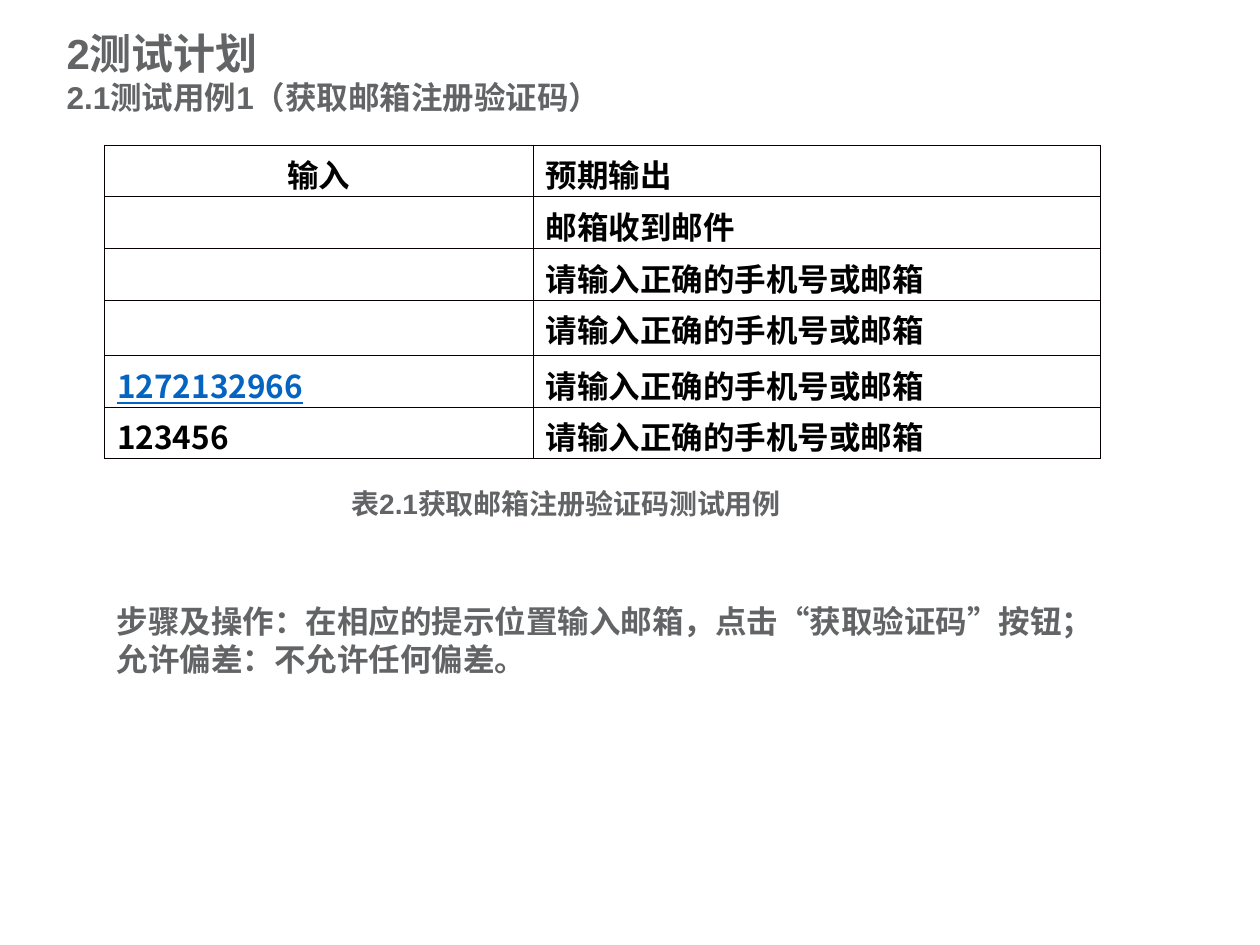
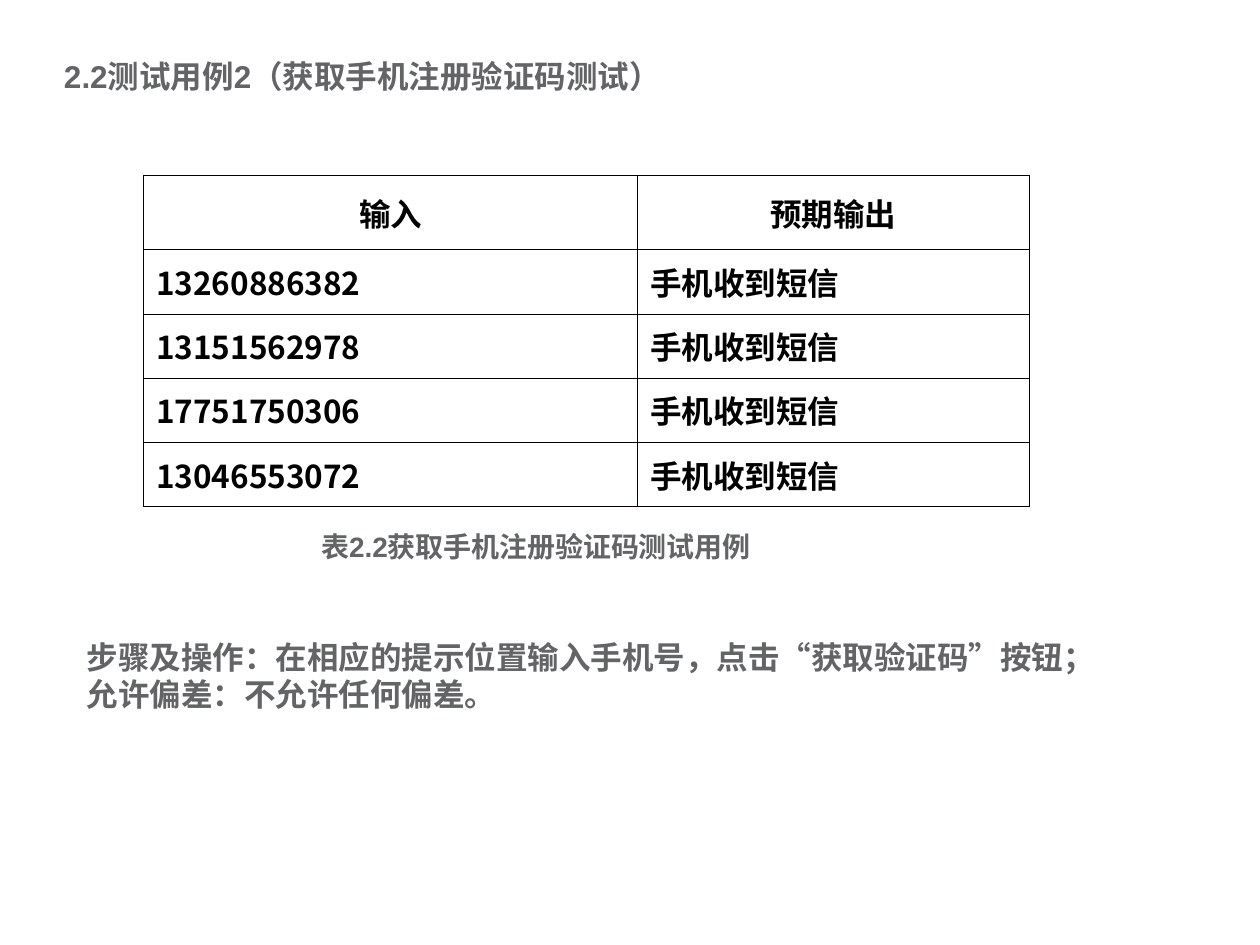
from lxml.etree import SubElement
from pptx import Presentation
from pptx.dml.color import RGBColor
from pptx.enum.text import MSO_ANCHOR, PP_ALIGN
from pptx.oxml.ns import qn
from pptx.util import Inches, Pt

COLORS = {"text": "626466", "cell": "000000", "link": "0563C1", "border": "080000"}
LATIN, CJK = "Arial", "Noto Sans CJK SC"
LINE_HEIGHT = 1.2
BODY_SIZE, CAPTION_SIZE = 18, 16
CELL_INSET, TIGHT_ROW = 0.05, 0.41
BORDER_WIDTH = 0.23

WRONG_INPUT = "请输入正确的手机号或邮箱"
SMS_RECEIVED = "手机收到短信"
TOLERANCE = "允许偏差：不允许任何偏差。"
LINKS = {"1272132966"}

CASES = [
    {
        "title": [("2测试计划", 24), ("2.1测试用例1（获取邮箱注册验证码）", BODY_SIZE)],
        "title_at": (0.43, 0.13, 5.51, 0.8),
        "rows": [
            ("输入", "预期输出"),
            ("", "邮箱收到邮件"),
            ("", WRONG_INPUT),
            ("", WRONG_INPUT),
            ("1272132966", WRONG_INPUT),
            ("123456", WRONG_INPUT),
        ],
        "table_at": (0.83, 1.15),
        "widths": [3.4, 4.5],
        "heights": [0.41, 0.41, 0.41, 0.44, 0.41, 0.41],
        "centred_headers": {0},
        "caption": "表2.1获取邮箱注册验证码测试用例",
        "caption_at": (2.69, 3.77, 4.14, 0.37),
        "steps": "步骤及操作：在相应的提示位置输入邮箱，点击“获取验证码”按钮；",
        "steps_at": (0.83, 4.69, 8.4, 0.7),
    },
    {
        "title": [("2.2测试用例2（获取手机注册验证码测试）", BODY_SIZE)],
        "title_at": (0.41, 0.36, 7.54, 0.4),
        "rows": [
            ("输入", "预期输出"),
            ("13260886382", SMS_RECEIVED),
            ("13151562978", SMS_RECEIVED),
            ("17751750306", SMS_RECEIVED),
            ("13046553072", SMS_RECEIVED),
        ],
        "table_at": (1.14, 1.39),
        "widths": [3.92, 3.11],
        "heights": [0.59] + [0.51] * 4,
        "centred_headers": {0, 1},
        "caption": "表2.2获取手机注册验证码测试用例",
        "caption_at": (2.45, 4.11, 4.12, 0.37),
        "steps": "步骤及操作：在相应的提示位置输入手机号，点击“获取验证码”按钮；",
        "steps_at": (0.59, 4.97, 8.57, 0.7),
    },
]


def add_span(para, text, size, color, latin):
    span = para.add_run()
    span.text = text
    span.font.size = Pt(size)
    span.font.bold = True
    span.font.name = latin
    span.font.color.rgb = RGBColor.from_string(COLORS[color])
    SubElement(span.font._element, qn("a:ea"), typeface=CJK)
    return span


def add_text(page, place, lines):
    box = page.shapes.add_textbox(*map(Inches, place))
    frame = box.text_frame
    frame.word_wrap = True
    frame.margin_top, frame.margin_bottom = Inches(0.09), Inches(0.01)
    for index, (text, size) in enumerate(lines):
        para = frame.add_paragraph() if index else frame.paragraphs[0]
        para.line_spacing = Pt(size * LINE_HEIGHT)
        add_span(para, text, size, "text", LATIN)


def add_borders(cell):
    properties = cell._tc.get_or_add_tcPr()
    for index, side in enumerate(("lnL", "lnR", "lnT", "lnB")):
        line = properties.makeelement(qn(f"a:{side}"), {"w": str(Pt(BORDER_WIDTH))})
        fill = SubElement(line, qn("a:solidFill"))
        SubElement(fill, qn("a:srgbClr"), val=COLORS["border"])
        properties.insert(index, line)


def add_case_table(page, case):
    rows, widths, heights = case["rows"], case["widths"], case["heights"]
    size = (sum(widths), sum(heights))
    table = page.shapes.add_table(
        len(rows), len(widths), *map(Inches, case["table_at"] + size)
    ).table
    table.first_row = table.horz_banding = False
    for column, width in zip(table.columns, widths):
        column.width = Inches(width)
    for row_index, (texts, height) in enumerate(zip(rows, heights)):
        table.rows[row_index].height = Inches(height)
        bottom = round(min(CELL_INSET, max(0, height - TIGHT_ROW)), 2)
        for column_index, text in enumerate(texts):
            cell = table.cell(row_index, column_index)
            cell.fill.background()
            cell.vertical_anchor = MSO_ANCHOR.MIDDLE
            cell.margin_top, cell.margin_bottom = Inches(CELL_INSET), Inches(bottom)
            add_borders(cell)
            para = cell.text_frame.paragraphs[0]
            if row_index == 0 and column_index in case["centred_headers"]:
                para.alignment = PP_ALIGN.CENTER
            if text:
                color = "link" if text in LINKS else "cell"
                span = add_span(para, text, BODY_SIZE, color, CJK)
                span.font.underline = text in LINKS


def main():
    deck = Presentation()
    deck.slide_width, deck.slide_height = Inches(10), Inches(7.5)
    for case in CASES:
        page = deck.slides.add_slide(deck.slide_layouts[6])
        add_text(page, case["title_at"], case["title"])
        add_case_table(page, case)
        add_text(page, case["caption_at"], [(case["caption"], CAPTION_SIZE)])
        steps = [(text, BODY_SIZE) for text in (case["steps"], TOLERANCE)]
        add_text(page, case["steps_at"], steps)
    deck.save("out.pptx")


if __name__ == "__main__":
    main()
